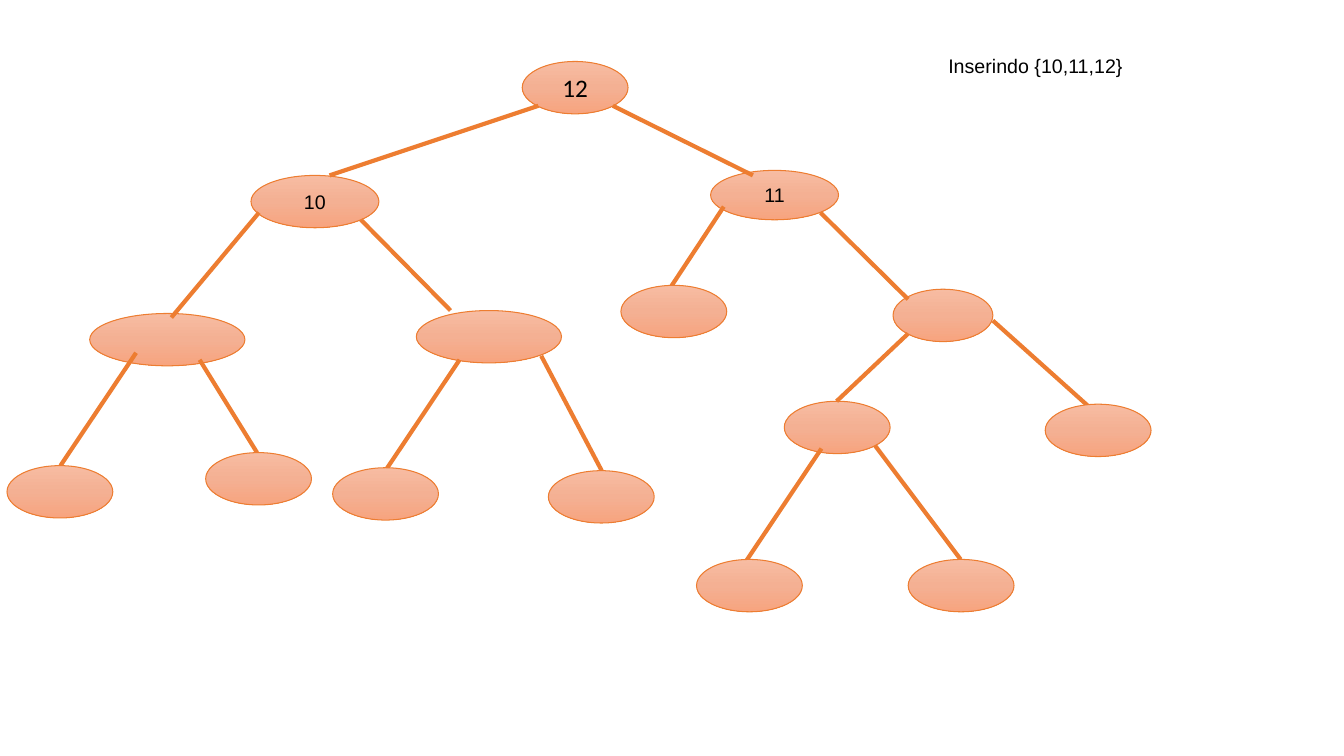
from copy import deepcopy
from pptx import Presentation
from pptx.dml.color import RGBColor
from pptx.enum.shapes import MSO_CONNECTOR, MSO_SHAPE
from pptx.enum.text import MSO_ANCHOR, MSO_AUTO_SIZE, PP_ALIGN
from pptx.oxml.ns import qn
from pptx.util import Pt

OVAL = MSO_SHAPE.OVAL
LINE = MSO_CONNECTOR.STRAIGHT
MIDDLE = MSO_ANCHOR.MIDDLE
CENTER = PP_ALIGN.CENTER
GROW = MSO_AUTO_SIZE.SHAPE_TO_FIT_TEXT

COLORS = {"edge": "ED7D31", "top": "F7BCA2", "mid": "F4B093",
          "low": "F7A47F", "text": "000000"}
WIDTH, HEIGHT = 75.6, 37.4

# Labelled nodes: left, top, width, height, key, size, font
KEYS = [
    (373, 43.9, WIDTH, HEIGHT, "12", 18, "Calibri"),
    (179.3, 125.3, 91.4, HEIGHT, "10", 14, "Arial"),
    (507.6, 121.7, 91.4, 35.3, "11", 14, "Arial"),
]
# Inner nodes without a key: left, top, width
INNER = [
    (64.1, 223.9, 110.9), (297.4, 221.8, 103.7),
    (637.9, 206.6, 71.3), (560.2, 286.6, WIDTH),
]
# Leaves: left, top
LEAVES = [
    (5, 332.6), (146.9, 323.3), (237.6, 334.1), (391.7, 336.2),
    (443.5, 203.8), (497.5, 399.6), (648.7, 399.6), (746.6, 288.7),
]
# Edges from parent to child: x1, y1, x2, y2
EDGES = [
    (384.5, 75.6, 235.4, 125.3), (437.8, 75.6, 537.8, 125.3),
    (185, 151.9, 122.4, 226.8), (257.8, 157, 321.8, 221.8),
    (517, 147.6, 478.1, 206.6), (586.1, 151.9, 648.7, 213.8),
    (97.2, 252, 43.2, 332.6), (142.6, 257, 183.6, 323.3),
    (328.3, 257, 274.3, 337.7), (386.6, 254.2, 429.8, 336.2),
    (648.7, 238.3, 597.6, 286.6), (709.2, 229, 779.8, 292.3),
    (586.8, 320.4, 532.8, 401), (625, 318.2, 686.2, 399.6),
]


def color(name):
    return RGBColor.from_string(COLORS[name])


def write(frame, text, size, font):
    frame.text = text
    face = frame.paragraphs[0].runs[0].font
    face.size, face.name = Pt(size), font
    face.color.rgb = color("text")


def shade(shape):
    fill = shape.fill
    fill.gradient()
    fill.gradient_angle = 270
    # The default gradient has two stops; a third goes between them
    stops = shape._element.spPr.find(".//" + qn("a:gsLst"))
    stops.insert(1, deepcopy(stops[0]))
    for stop, place, name in zip(fill.gradient_stops, (0, 0.5, 1),
                                 ("top", "mid", "low")):
        stop.position = place
        stop.color.rgb = color(name)


def add_node(slide, left, top, width=WIDTH, height=HEIGHT,
             key="", size=14, font="Arial"):
    node = slide.shapes.add_shape(OVAL, Pt(left), Pt(top),
                                  Pt(width), Pt(height))
    node.shadow.inherit = False
    shade(node)
    node.line.color.rgb = color("edge")
    node.line.width = Pt(0.75)
    if key:
        frame = node.text_frame
        frame.margin_left = frame.margin_right = 0
        frame.margin_top = frame.margin_bottom = 0
        frame.vertical_anchor = MIDDLE
        write(frame, key, size, font)
        frame.paragraphs[0].alignment = CENTER


def add_edge(slide, *ends):
    edge = slide.shapes.add_connector(LINE, *map(Pt, ends))
    edge.line.color.rgb = color("edge")
    edge.line.width = Pt(3)
    props = edge._element.spPr
    props.append(props.makeelement(qn("a:effectLst"), {}))


def add_note(slide, left, top, width, height, text):
    box = slide.shapes.add_textbox(Pt(left), Pt(top), Pt(width), Pt(height))
    frame = box.text_frame
    frame.word_wrap = True
    frame.auto_size = GROW
    write(frame, text, 14, "Arial")


def main():
    deck = Presentation()
    deck.slide_width, deck.slide_height = Pt(960), Pt(540)
    slide = deck.slides.add_slide(deck.slide_layouts[6])

    # Edges lie over the inner nodes and under the leaves
    for node in KEYS + INNER:
        add_node(slide, *node)
    for edge in EDGES:
        add_edge(slide, *edge)
    for leaf in LEAVES:
        add_node(slide, *leaf)

    # Caption
    add_note(slide, 670.3, 35.3, 163.4, 24.5, "Inserindo {10,11,12}")
    deck.save("out.pptx")


main()
